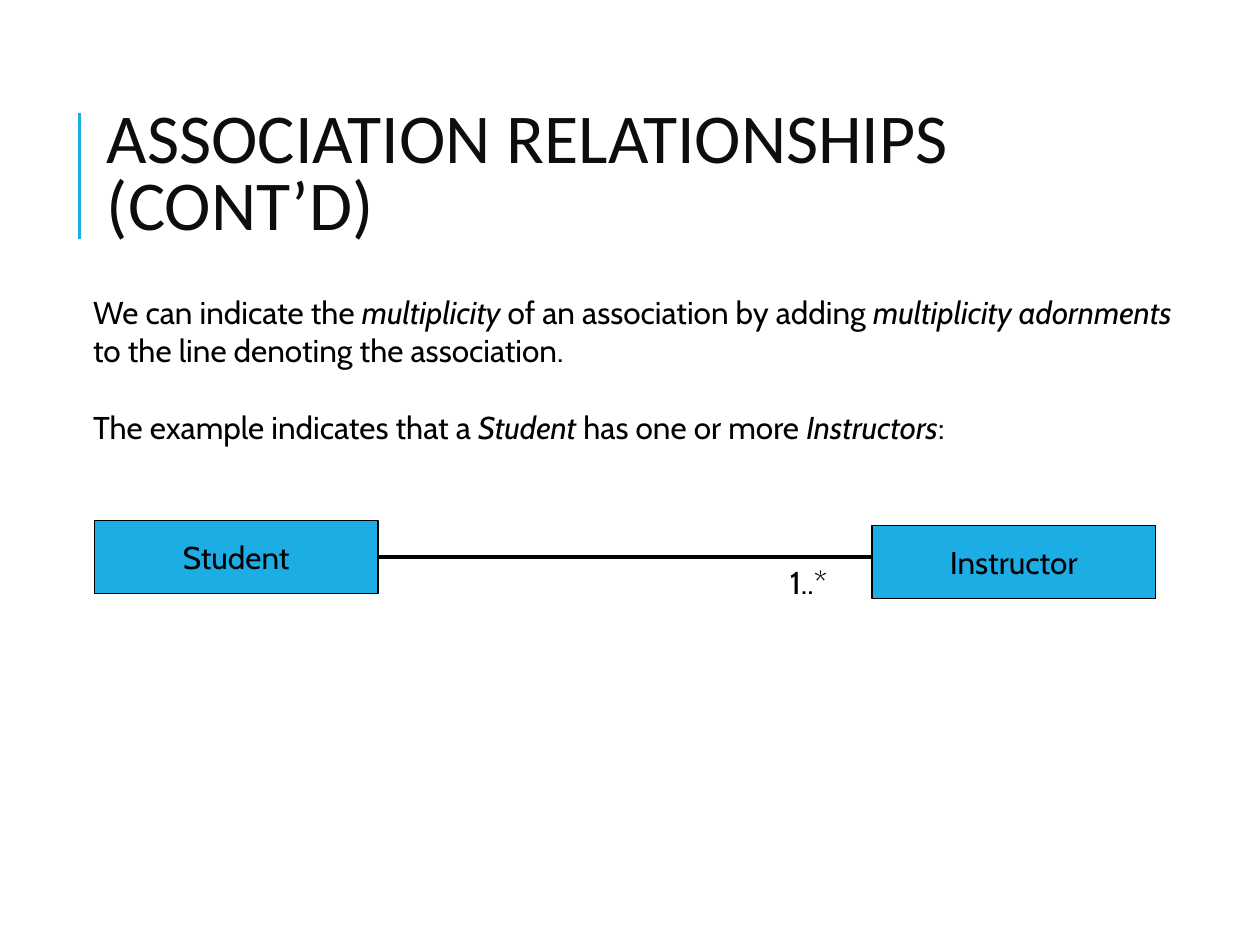
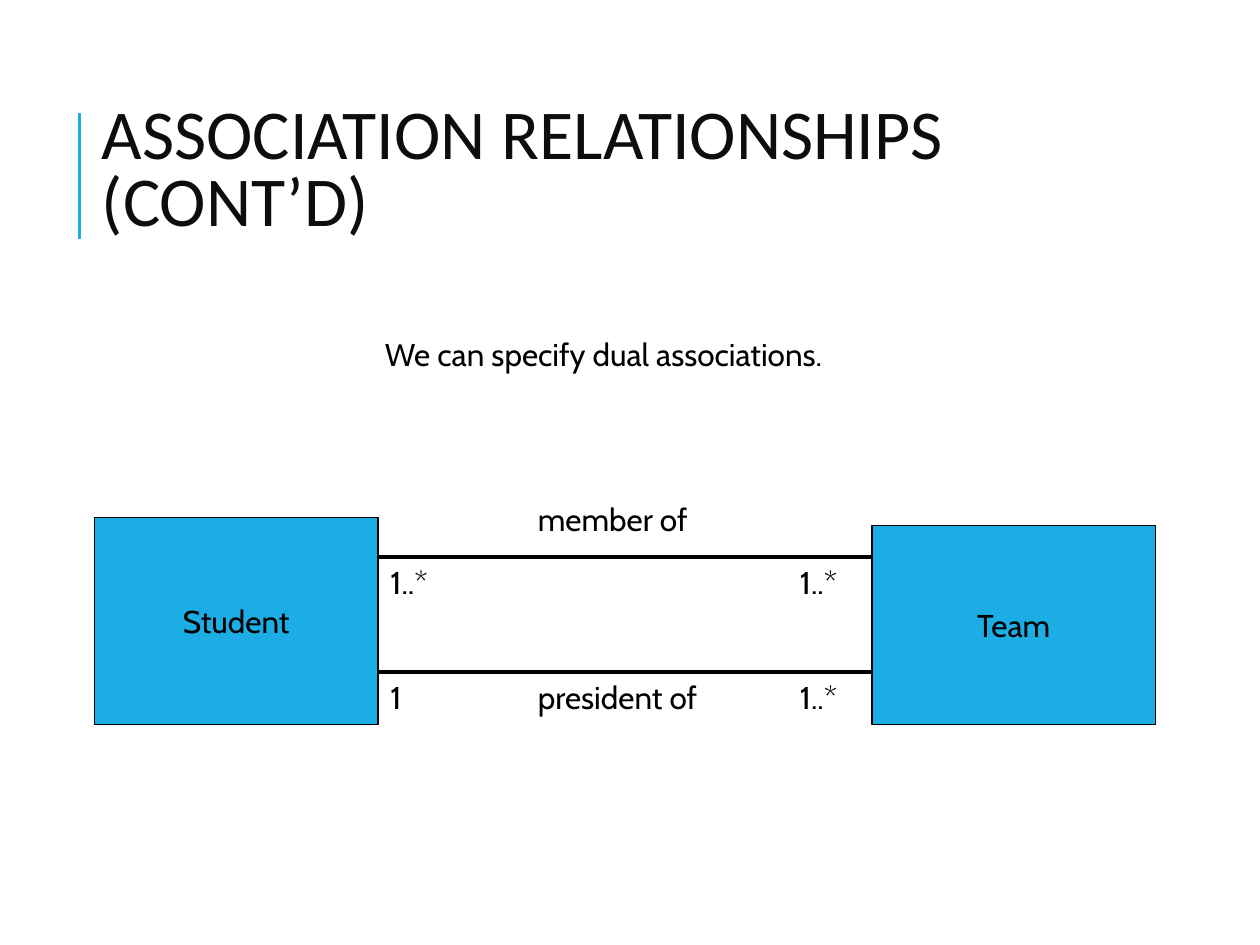
from dataclasses import dataclass

from lxml import etree
from pptx import Presentation
from pptx.dml.color import RGBColor
from pptx.enum.shapes import MSO_CONNECTOR, MSO_SHAPE
from pptx.enum.text import MSO_ANCHOR, MSO_AUTO_SIZE, PP_ALIGN
from pptx.oxml.ns import qn
from pptx.util import Inches, Pt

STRAIGHT = MSO_CONNECTOR.STRAIGHT
RECTANGLE = MSO_SHAPE.RECTANGLE
MIDDLE = MSO_ANCHOR.MIDDLE
GROW = MSO_AUTO_SIZE.SHAPE_TO_FIT_TEXT
LEFT, CENTER = PP_ALIGN.LEFT, PP_ALIGN.CENTER


@dataclass(frozen=True)
class Theme:
    accent: RGBColor = RGBColor(0x1C, 0xAD, 0xE4)
    heading: RGBColor = RGBColor(0x0D, 0x0D, 0x0D)
    ink: RGBColor = RGBColor(0, 0, 0)
    heading_font: str = "Calibri"
    body_font: str = "Cabin"
    heading_size: Pt = Pt(40)
    body_size: Pt = Pt(18)
    paragraph_gap: Pt = Pt(22)
    rule_width: Pt = Pt(1.5)
    border_width: Pt = Pt(0.75)
    association_width: Pt = Pt(2.25)


THEME = Theme()
TITLE = "ASSOCIATION RELATIONSHIPS (CONT’D)"
CLASS_WIDTH = 2.25
SOURCE_LEFT = 0.75
SOURCE_RIGHT = SOURCE_LEFT + CLASS_WIDTH
TARGET_LEFT = 6.92
LABEL_HEIGHT = 0.4
FIRST_ASSOCIATION = 4.42
SECOND_ASSOCIATION = 5.33


def style_body(font):
    font.name = THEME.body_font
    font.size = THEME.body_size
    font.color.rgb = THEME.ink


def add_line(slide, start, end, color, width):
    line = slide.shapes.add_connector(STRAIGHT, *map(Inches, start + end))
    line.line.color.rgb = color
    line.line.width = width
    etree.SubElement(line._element.spPr, qn("a:effectLst"))


def add_title(slide, left, top, width):
    add_line(slide, (0.63, 1.9), (0.63, 0.9), THEME.accent, THEME.rule_width)
    title = slide.shapes.add_textbox(*map(Inches, (left, top, width, 0.58)))
    frame = title.text_frame
    frame.word_wrap = True
    frame.vertical_anchor = MIDDLE
    frame.text = TITLE
    paragraph = frame.paragraphs[0]
    paragraph.line_spacing = 0.8
    font = paragraph.runs[0].font
    font.name = THEME.heading_font
    font.size = THEME.heading_size
    font.color.rgb = THEME.heading


def add_text(slide, left, top, width, height, paragraphs, align=LEFT):
    box = slide.shapes.add_textbox(*map(Inches, (left, top, width, height)))
    frame = box.text_frame
    frame.word_wrap = True
    frame.auto_size = GROW
    for index, pieces in enumerate(paragraphs):
        paragraph = frame.add_paragraph() if index else frame.paragraphs[0]
        paragraph.alignment = align
        if index:
            paragraph.space_before = THEME.paragraph_gap
        for position, piece in enumerate(pieces):
            run = paragraph.add_run()
            run.text = piece
            style_body(run.font)
            run.font.italic = position % 2 == 1


def add_label(slide, left, top, text, width=0.75):
    add_text(slide, left, top, width, LABEL_HEIGHT, [[text]])


def add_class(slide, name, left, top, height):
    box = slide.shapes.add_shape(
        RECTANGLE, *map(Inches, (left, top, CLASS_WIDTH, height)))
    box.shadow.inherit = False
    box.fill.solid()
    box.fill.fore_color.rgb = THEME.accent
    box.line.color.rgb = THEME.ink
    box.line.width = THEME.border_width
    frame = box.text_frame
    frame.word_wrap = False
    frame.vertical_anchor = MIDDLE
    frame.text = name
    frame.paragraphs[0].alignment = CENTER
    style_body(frame.paragraphs[0].runs[0].font)


def add_association(slide, y):
    add_line(slide, (SOURCE_RIGHT, y), (TARGET_LEFT, y),
             THEME.ink, THEME.association_width)


def build_multiplicity(slide):
    add_title(slide, 0.75, 1.11, 8.92)
    add_text(slide, 0.64, 2.28, 8.87, 1.3, [
        ["We can indicate the ", "multiplicity",
         " of an association by adding ", "multiplicity adornments",
         " to the line denoting the association."],
        ["The example indicates that a ", "Student",
         " has one or more ", "Instructors", ":"],
    ])
    add_association(slide, FIRST_ASSOCIATION)
    add_class(slide, "Instructor", TARGET_LEFT, 4.17, 0.58)
    add_class(slide, "Student", SOURCE_LEFT, 4.13, 0.58)
    add_label(slide, 6.17, FIRST_ASSOCIATION, "1..*")


def build_dual_associations(slide):
    add_title(slide, 0.71, 1.08, 8.83)
    add_text(slide, 0.5, 2.61, 8.58, LABEL_HEIGHT,
             [["We can specify dual associations."]], CENTER)
    add_class(slide, "Team", TARGET_LEFT, 4.17, 1.58)
    add_class(slide, "Student", SOURCE_LEFT, 4.11, 1.64)
    associations = [
        (FIRST_ASSOCIATION, "member of", 3.92, "1..*", 0.75),
        (SECOND_ASSOCIATION, "president of", SECOND_ASSOCIATION, "1", 0.42),
    ]
    for y, role, role_top, source_count, source_width in associations:
        add_association(slide, y)
        add_label(slide, 4.17, role_top, role, 1.92)
        add_label(slide, SOURCE_RIGHT, y, source_count, source_width)
        add_label(slide, 6.25, y, "1..*")


def main():
    deck = Presentation()
    deck.slide_width = Inches(10)
    deck.slide_height = Inches(7.5)
    blank = deck.slide_layouts[6]
    for build in (build_multiplicity, build_dual_associations):
        build(deck.slides.add_slide(blank))
    deck.save("out.pptx")


if __name__ == "__main__":
    main()
